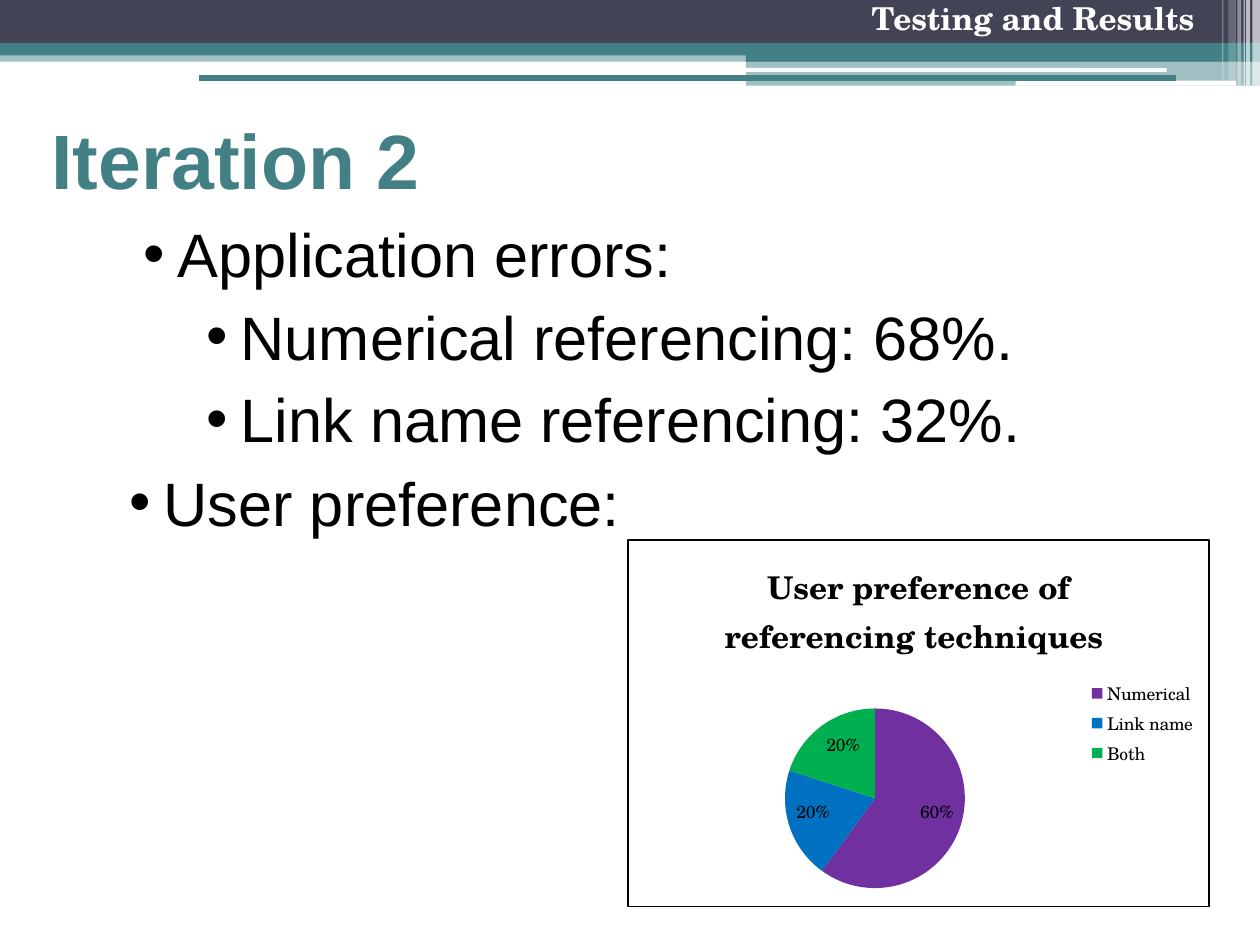
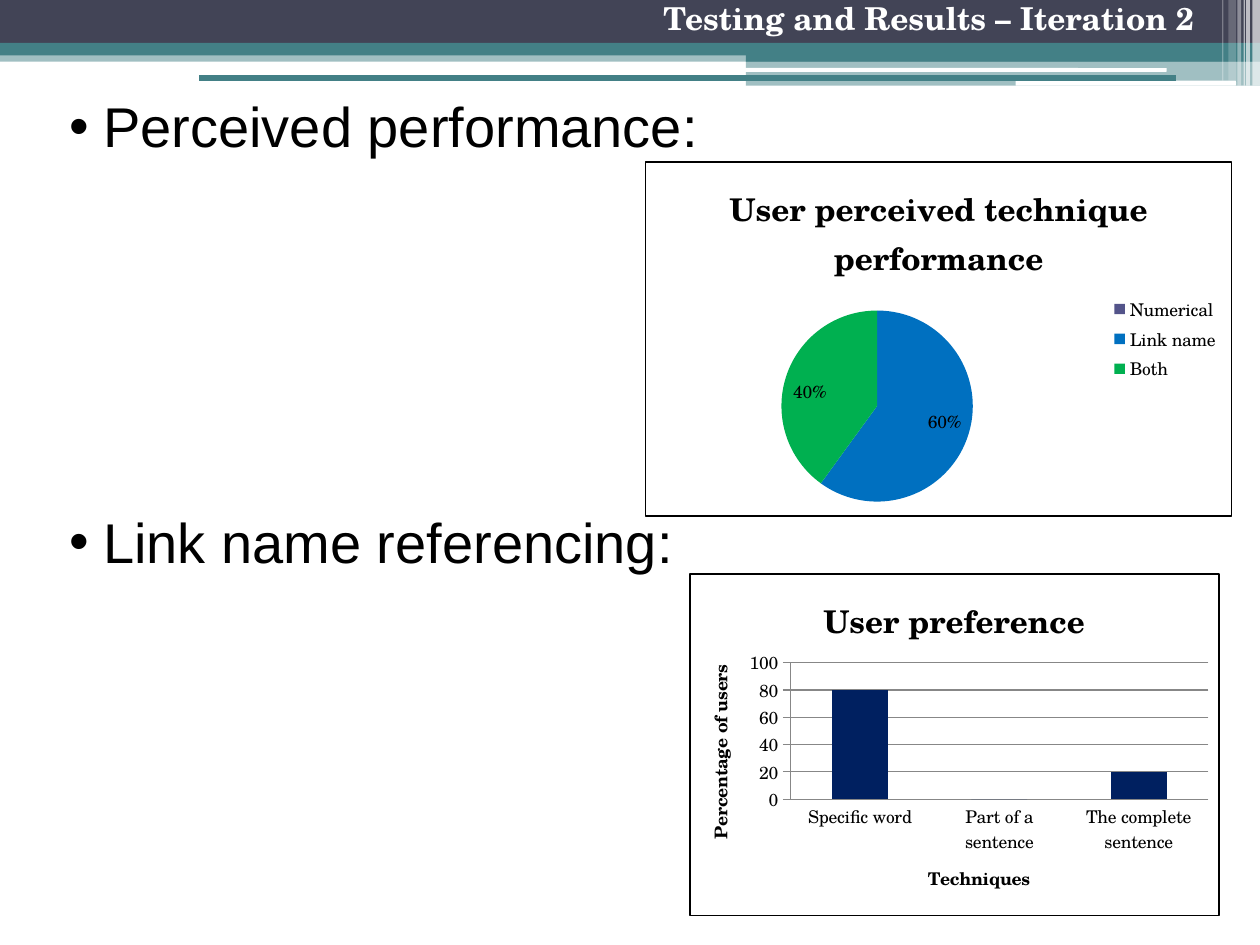
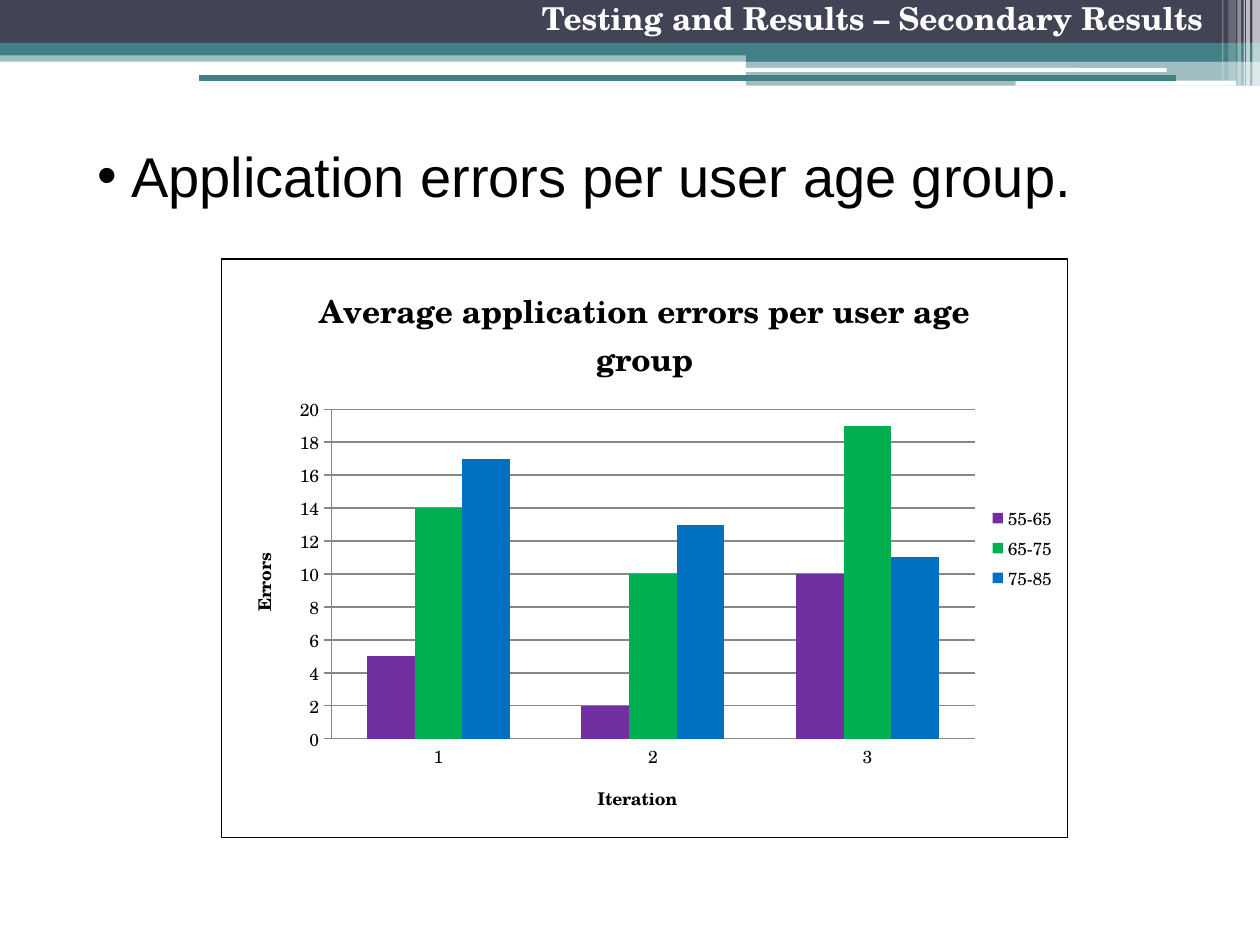
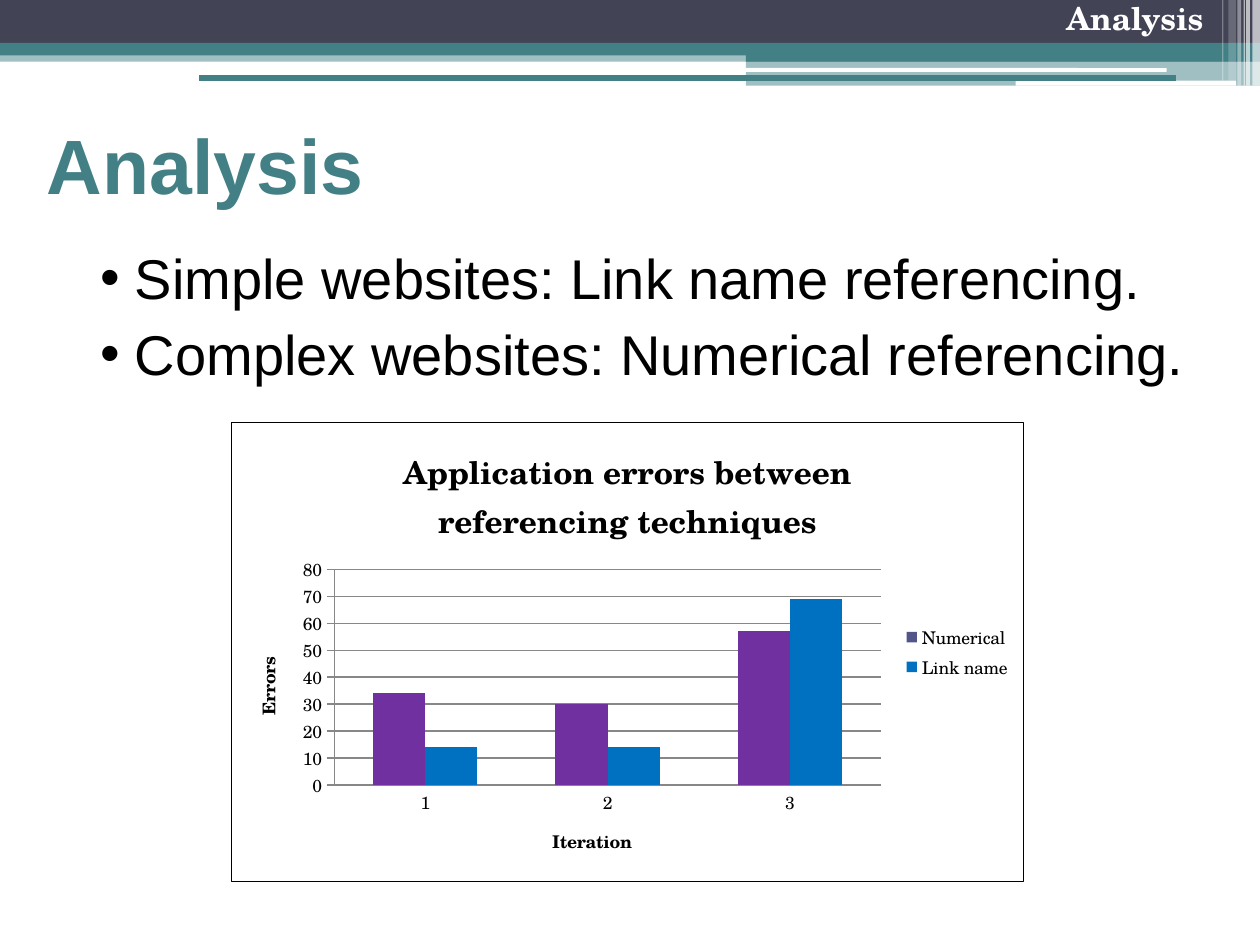
from pptx import Presentation
from pptx.chart.data import CategoryChartData
from pptx.dml.color import RGBColor
from pptx.enum.chart import XL_CHART_TYPE as ChartType
from pptx.enum.chart import XL_LABEL_POSITION as LabelPosition
from pptx.enum.chart import XL_LEGEND_POSITION as LegendPosition
from pptx.enum.chart import XL_TICK_MARK as TickMark
from pptx.enum.shapes import MSO_CONNECTOR as Connector
from pptx.enum.shapes import MSO_SHAPE as Shape
from pptx.enum.text import MSO_ANCHOR as Anchor
from pptx.enum.text import MSO_AUTO_SIZE as AutoSize
from pptx.enum.text import PP_ALIGN as Align
from pptx.oxml import parse_xml
from pptx.oxml.ns import nsdecls, qn
from pptx.util import Emu, Pt
from lxml.etree import SubElement

PX = 9144  # EMU in one px, 100 px to the inch

# Colours
BLACK = RGBColor(0x00, 0x00, 0x00)
WHITE = RGBColor(0xFF, 0xFF, 0xFF)
SLATE = RGBColor(0x42, 0x44, 0x56)
TEAL = RGBColor(0x43, 0x80, 0x86)
GRID = RGBColor(0x87, 0x87, 0x87)
PURPLE = RGBColor(0x70, 0x30, 0xA0)
INDIGO = RGBColor(0x53, 0x54, 0x8A)
BLUE = RGBColor(0x00, 0x70, 0xC0)
GREEN = RGBColor(0x00, 0xB0, 0x50)
NAVY = RGBColor(0x00, 0x20, 0x60)

# Fonts
SANS = "Arial"
SERIF = "TeX Gyre Schola"

# Bands of the master: left, top, width, height, shape, colour, opacity in percent
BANDS = [
    (0, 40, 1000, 9, Shape.RECTANGLE, TEAL, 50),
    (0, 0, 1000, 34, Shape.RECTANGLE, SLATE, 100),
    (0, 34, 1000, 10, Shape.RECTANGLE, TEAL, 100),
    (592, 39, 408, 10, Shape.RECTANGLE, TEAL, 100),
    (592, 48, 408, 20, Shape.RECTANGLE, TEAL, 50),
    (591, 54, 335, 3, Shape.ROUNDED_RECTANGLE, WHITE, 100),
    (806, 64, 175, 4, Shape.ROUNDED_RECTANGLE, WHITE, 100),
]
# Stripes at the right edge: left, width, height, opacity in percent
STRIPES = [(994, 6, 68, 65), (989, 3, 68, 65), (987, 1, 68, 60),
           (982, 3, 68, 40), (975, 6, 64, 20), (970, 1, 64, 30)]
BANDS += [(left, 0, width, height, Shape.RECTANGLE, WHITE, opacity)
          for left, width, height, opacity in STRIPES]

# Left margin and hanging indent of each list level
LIST_MARGIN = {1: 72, 2: 122}
LIST_INDENT = 27


def px(*lengths):
    return [Emu(length * PX) for length in lengths]


class Deck:
    def __init__(self):
        self.presentation = Presentation()
        self.presentation.slide_width, self.presentation.slide_height = px(1000, 750)
        self.slide = None

    # Slides and their shared parts
    def add_slide(self, header, title=None, title_box=None):
        layout = self.presentation.slide_layouts[1]
        self.slide = self.presentation.slides.add_slide(layout)
        if len(self.presentation.slides) == 1:
            self.add_master_bands()
        if title:
            self.place(self.slide.shapes.title, title_box, Anchor.MIDDLE)
            paragraph = self.slide.shapes.title.text_frame.paragraphs[0]
            paragraph.alignment = Align.LEFT
            self.add_run(paragraph, title, SANS, 44, TEAL, bold=True)
        self.add_header(header, self.add_text_box() if title else self.slide.shapes.title)
        self.add_rule()

    def add_master_bands(self):
        master_tree = self.presentation.slide_master.shapes.element
        for left, top, width, height, kind, color, opacity in BANDS:
            band = self.slide.shapes.add_shape(kind, *px(left, top, width, height))
            band.shadow.inherit = False
            band.line.fill.background()
            band.fill.solid()
            band.fill.fore_color.rgb = color
            if opacity < 100:
                color_element = band.element.spPr.find(".//" + qn("a:srgbClr"))
                SubElement(color_element, qn("a:alpha"), val=str(opacity * 1000))
            master_tree.append(band.element)

    def add_header(self, text, shape):
        self.place(shape, (382, 0, 583, 50))
        paragraph = shape.text_frame.paragraphs[0]
        paragraph.alignment = Align.RIGHT
        paragraph.line_spacing = 0.8
        paragraph.space_before = Pt(3.6)
        self.add_run(paragraph, text, SERIF, 18, WHITE, bold=True)

    def add_rule(self):
        rule = self.slide.shapes.add_connector(Connector.STRAIGHT, *px(158, 62, 933, 62))
        rule.line.color.rgb = TEAL
        rule.line.width = Pt(3)
        SubElement(rule.element.spPr, qn("a:effectLst"))

    # Text
    def add_text_box(self):
        return self.slide.shapes.add_textbox(0, 0, 0, 0)

    def place(self, shape, box, anchor=Anchor.TOP):
        shape.left, shape.top, shape.width, shape.height = px(*box)
        frame = shape.text_frame
        frame.word_wrap = True
        frame.auto_size = AutoSize.NONE
        frame.vertical_anchor = anchor

    def add_run(self, paragraph, text, font_name, size, color, bold=False):
        run = paragraph.add_run()
        run.text = text
        self.set_font(run.font, font_name, size, color, bold)

    def set_font(self, font, name, size, color, bold=False):
        font.name = name
        font.size = Pt(size)
        font.bold = bold
        font.color.rgb = color

    def add_list(self, box, items, size, shape=None):
        """Items are pairs of level and text; the body placeholder is the default."""
        shape = shape or self.slide.placeholders[1]
        self.place(shape, box)
        frame = shape.text_frame
        for index, (level, text) in enumerate(items):
            paragraph = frame.add_paragraph() if index else frame.paragraphs[0]
            paragraph.level = level
            paragraph.alignment = Align.LEFT
            paragraph.space_before = Pt(3)
            paragraph.space_after = Pt(2)
            properties = paragraph._p.get_or_add_pPr()
            properties.set("marL", str(LIST_MARGIN[level] * PX))
            properties.set("indent", str(-LIST_INDENT * PX))
            SubElement(properties, qn("a:buFont"), typeface=SANS)
            SubElement(properties, qn("a:buChar"), char="•")
            self.add_run(paragraph, text, SANS, size, BLACK)

    # Charts
    def add_chart(self, kind, box, plot_box, title, categories, series):
        """Series maps names to values; plot_box holds fractions of the chart."""
        data = CategoryChartData()
        data.categories = categories
        for name, values in series.items():
            data.add_series(name, values)
        chart = self.slide.shapes.add_chart(kind, *px(*box), data).chart
        self.set_font(chart.font, SERIF, 10, BLACK)
        self.set_chart_title(chart, title, 18)
        self.frame_chart(chart, plot_box)
        return chart

    def set_chart_title(self, owner, text, size):
        owner.has_title = True
        title = owner.chart_title if hasattr(owner, "chart_title") else owner.axis_title
        paragraph = title.text_frame.paragraphs[0]
        self.add_run(paragraph, text, SERIF, size, BLACK, bold=True)

    def frame_chart(self, chart, plot_box):
        border = parse_xml(
            f'<c:spPr {nsdecls("c", "a")}><a:noFill/><a:ln w="9525"><a:solidFill>'
            f'<a:srgbClr val="{BLACK}"/></a:solidFill></a:ln></c:spPr>')
        chart.element.find(qn("c:txPr")).addprevious(border)
        plot_area = chart.element.find(".//" + qn("c:plotArea"))
        for layout in plot_area.findall(qn("c:layout")):
            plot_area.remove(layout)
        layout = parse_xml(f'<c:layout {nsdecls("c")}><c:manualLayout/></c:layout>')
        settings = [("layoutTarget", "inner"), ("xMode", "edge"), ("yMode", "edge")]
        settings += zip("xywh", plot_box)
        for name, value in settings:
            SubElement(layout[0], qn(f"c:{name}"), val=str(value))
        plot_area.insert(0, layout)

    def add_legend(self, chart):
        chart.has_legend = True
        chart.legend.position = LegendPosition.RIGHT
        chart.legend.include_in_layout = False

    def add_pie(self, box, plot_box, title, values, colors):
        chart = self.add_chart(ChartType.PIE, box, plot_box, title,
                               ["Numerical", "Link name", "Both"], {"Series 1": values})
        self.add_legend(chart)
        plot = chart.plots[0]
        plot.vary_by_categories = True
        self.color_points(plot.series[0], colors)
        plot.has_data_labels = True
        labels = plot.data_labels
        labels.show_percentage = True
        labels.show_value = False
        labels.number_format = "0%;;;"  # a zero share gets no label
        labels.number_format_is_linked = False
        labels.position = LabelPosition.INSIDE_END

    def color_points(self, series, colors):
        for index, color in enumerate(colors):
            fill = series.points[index].format.fill
            fill.solid()
            fill.fore_color.rgb = color

    def add_columns(self, box, plot_box, title, axis_titles, scale, categories,
                    series, colors, legend=True):
        chart = self.add_chart(ChartType.COLUMN_CLUSTERED, box, plot_box, title,
                               categories, series)
        chart.has_legend = False
        if legend:
            self.add_legend(chart)
        plot = chart.plots[0]
        plot.vary_by_categories = False
        plot.gap_width = 150
        plot.overlap = 0
        for column, color in zip(plot.series, colors):
            column.invert_if_negative = False
            column.format.fill.solid()
            column.format.fill.fore_color.rgb = color
        axes = (chart.category_axis, chart.value_axis)
        for axis, text, tick in zip(axes, axis_titles, (TickMark.NONE, TickMark.CROSS)):
            self.set_chart_title(axis, text, 10)
            axis.major_tick_mark = tick
            axis.minor_tick_mark = TickMark.NONE
            self.set_line(axis.format.line)
        axis = chart.value_axis
        axis.minimum_scale = 0
        axis.maximum_scale, axis.major_unit = scale
        axis.has_major_gridlines = True
        self.set_line(axis.major_gridlines.format.line)
        return chart

    def set_line(self, line):
        line.color.rgb = GRID
        line.width = Pt(0.75)


def main():
    deck = Deck()
    iterations = ["1", "2", "3"]
    error_axes = ("Iteration", "Errors")

    # Iteration 2: errors and preference
    deck.add_slide("Testing and Results ", "Iteration 2", (31, 67, 684, 118))
    deck.add_list((59, 167, 849, 197),
                  [(1, "Application errors:"),
                   (2, "Numerical referencing: 68%."),
                   (2, "Link name referencing: 32%.")], 35)
    deck.add_pie((498, 428, 462, 292), (0.27, 0.46, 0.31, 0.49),
                 "User preference of referencing techniques ",
                 (60, 20, 20), (PURPLE, BLUE, GREEN))
    deck.add_list((48, 364, 849, 79), [(1, "User preference:")], 35, deck.add_text_box())

    # Iteration 2: performance and link names
    deck.add_slide("Testing and Results – Iteration 2 ")
    deck.add_list((0, 68, 923, 68), [(1, "Perceived performance:")], 32)
    deck.add_pie((512, 128, 466, 282), (0.23, 0.42, 0.33, 0.54),
                 "User perceived technique performance",
                 (0, 60, 40), (INDIGO, BLUE, GREEN))
    deck.add_list((0, 398, 923, 68), [(1, "Link name referencing:")], 32,
                  deck.add_text_box())
    deck.add_columns((547, 455, 421, 272), (0.19, 0.26, 0.79, 0.4), "User preference",
                     ("Techniques", "Percentage of users"), (100, 20),
                     ["Specific word", "Part of a sentence", "The complete sentence"],
                     {"Series 1": (80, 0, 20)}, [NAVY], legend=False)

    # Secondary results
    deck.add_slide("Testing and Results – Secondary Results")
    deck.add_list((-28, 107, 963, 116), [(2, "Application errors per user age group.")], 32)
    deck.add_columns((175, 205, 673, 460), (0.13, 0.26, 0.76, 0.57),
                     "Average application errors per user age group",
                     error_axes, (20, 2), iterations,
                     {"55-65": (5, 2, 10), "65-75": (14, 10, 19), "75-85": (17, 13, 11)},
                     [PURPLE, GREEN, BLUE])

    # Analysis
    deck.add_slide("Analysis", "Analysis", (27, 78, 684, 104))
    deck.add_list((-25, 188, 1067, 200),
                  [(2, "Simple websites: Link name referencing."),
                   (2, "Complex websites: Numerical referencing.")], 32)
    chart = deck.add_columns((183, 335, 630, 365), (0.13, 0.32, 0.69, 0.47),
                             "Application errors between referencing techniques",
                             error_axes, (80, 10), iterations,
                             {"Numerical": (34, 30, 57), "Link name": (14, 14, 69)},
                             [INDIGO, BLUE])
    deck.color_points(chart.plots[0].series[0], [PURPLE] * 3)

    deck.presentation.save("out.pptx")


if __name__ == "__main__":
    main()
